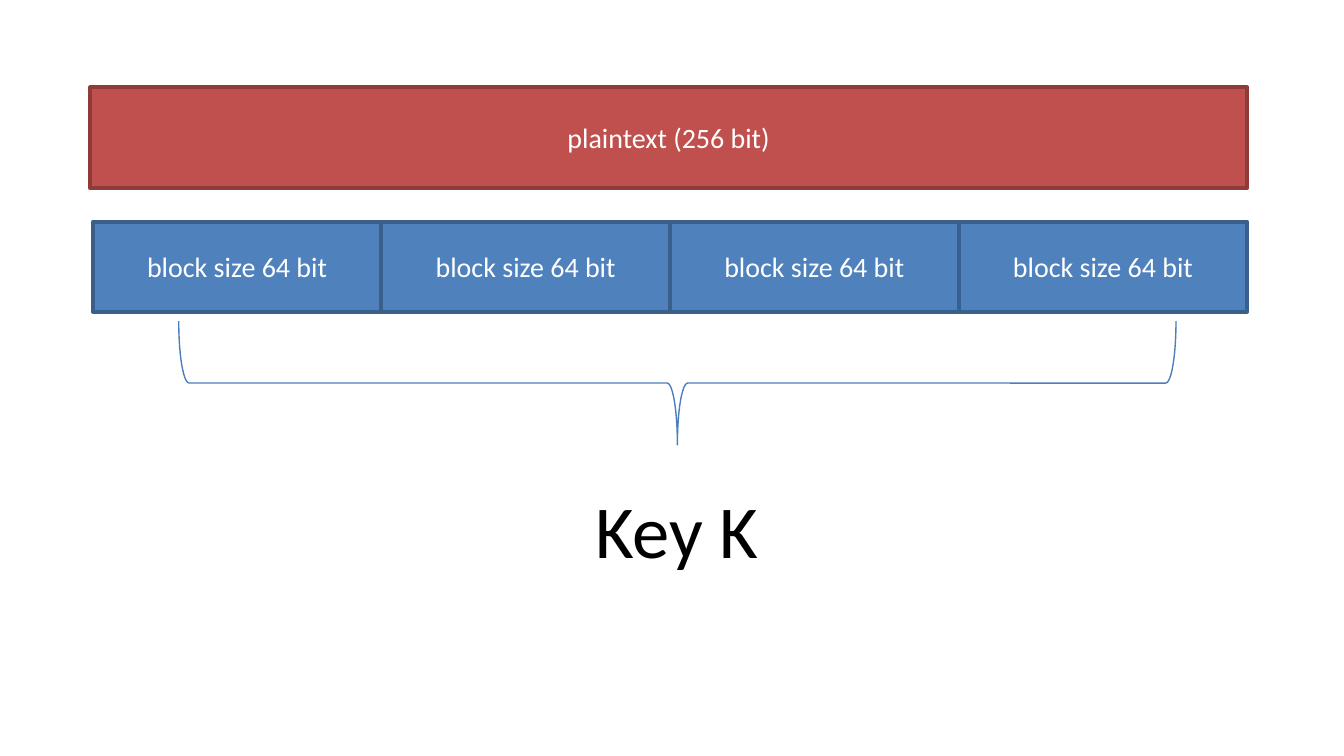
from pptx import Presentation
from pptx.dml.color import RGBColor
from pptx.enum.shapes import MSO_SHAPE
from pptx.enum.text import MSO_ANCHOR, MSO_AUTO_SIZE, PP_ALIGN
from pptx.util import Inches, Pt

RECTANGLE, BRACE = MSO_SHAPE.RECTANGLE, MSO_SHAPE.RIGHT_BRACE
MIDDLE, CENTER, LEFT = MSO_ANCHOR.MIDDLE, PP_ALIGN.CENTER, PP_ALIGN.LEFT
GROW = MSO_AUTO_SIZE.SHAPE_TO_FIT_TEXT

# Content
PLAINTEXT = "plaintext (256 bit)"
BLOCKS = ["block size 64 bit"] * 4
KEY = "Key K"

# Style
FONT = "Calibri"
WHITE = RGBColor(0xFF, 0xFF, 0xFF)
BLACK = RGBColor(0x00, 0x00, 0x00)
RED = RGBColor(0xC0, 0x50, 0x4D)
DARK_RED = RGBColor(0x8E, 0x3B, 0x39)
BLUE = RGBColor(0x4F, 0x81, 0xBD)
DARK_BLUE = RGBColor(0x3A, 0x5F, 0x8C)
BRACE_BLUE = RGBColor(0x4B, 0x7E, 0xBC)

# Layout in inches
SLIDE_WIDTH = 10
SLIDE_HEIGHT = SLIDE_WIDTH * 9 / 16
BLOCKS_LEFT, BLOCKS_RIGHT = 0.69, 9.28
BRACE_CENTER_X, BRACE_CENTER_Y = 5.04, 2.85
BRACE_DEPTH, BRACE_SPAN = 0.92, 7.42


def write(box, text, size, color, align):
    para = box.text_frame.paragraphs[0]
    para.alignment = align
    span = para.add_run()
    span.text = text
    span.font.name = FONT
    span.font.size = Pt(size)
    span.font.color.rgb = color


def add_bar(page, text, left, top, width, height, fill, outline):
    bar = page.shapes.add_shape(
        RECTANGLE, Inches(left), Inches(top), Inches(width), Inches(height))
    bar.shadow.inherit = False
    bar.fill.solid()
    bar.fill.fore_color.rgb = fill
    bar.line.color.rgb = outline
    bar.line.width = Pt(2)
    bar.text_frame.vertical_anchor = MIDDLE
    write(bar, text, 15, WHITE, CENTER)


deck = Presentation()
deck.slide_width, deck.slide_height = Inches(SLIDE_WIDTH), Inches(SLIDE_HEIGHT)
page = deck.slides.add_slide(deck.slide_layouts[6])

# Plaintext and the equal blocks it is split into
add_bar(page, PLAINTEXT, 0.67, 0.65, 8.61, 0.75, RED, DARK_RED)
block_width = (BLOCKS_RIGHT - BLOCKS_LEFT) / len(BLOCKS)
for index, label in enumerate(BLOCKS):
    add_bar(page, label, BLOCKS_LEFT + index * block_width, 1.65,
            block_width, 0.67, BLUE, DARK_BLUE)

# Key label
key_box = page.shapes.add_textbox(
    Inches(4.33), Inches(3.55), Inches(1.43), Inches(0.77))
key_box.text_frame.word_wrap = False
key_box.text_frame.auto_size = GROW
write(key_box, KEY, 40, BLACK, LEFT)

# Brace turned to point down from the blocks to the key
brace = page.shapes.add_shape(
    BRACE,
    Inches(BRACE_CENTER_X - BRACE_DEPTH / 2),
    Inches(BRACE_CENTER_Y - BRACE_SPAN / 2),
    Inches(BRACE_DEPTH), Inches(BRACE_SPAN))
brace.rotation = 90
brace.shadow.inherit = False
brace.fill.background()
brace.line.color.rgb = BRACE_BLUE
brace.line.width = Pt(0.75)

deck.save("out.pptx")
